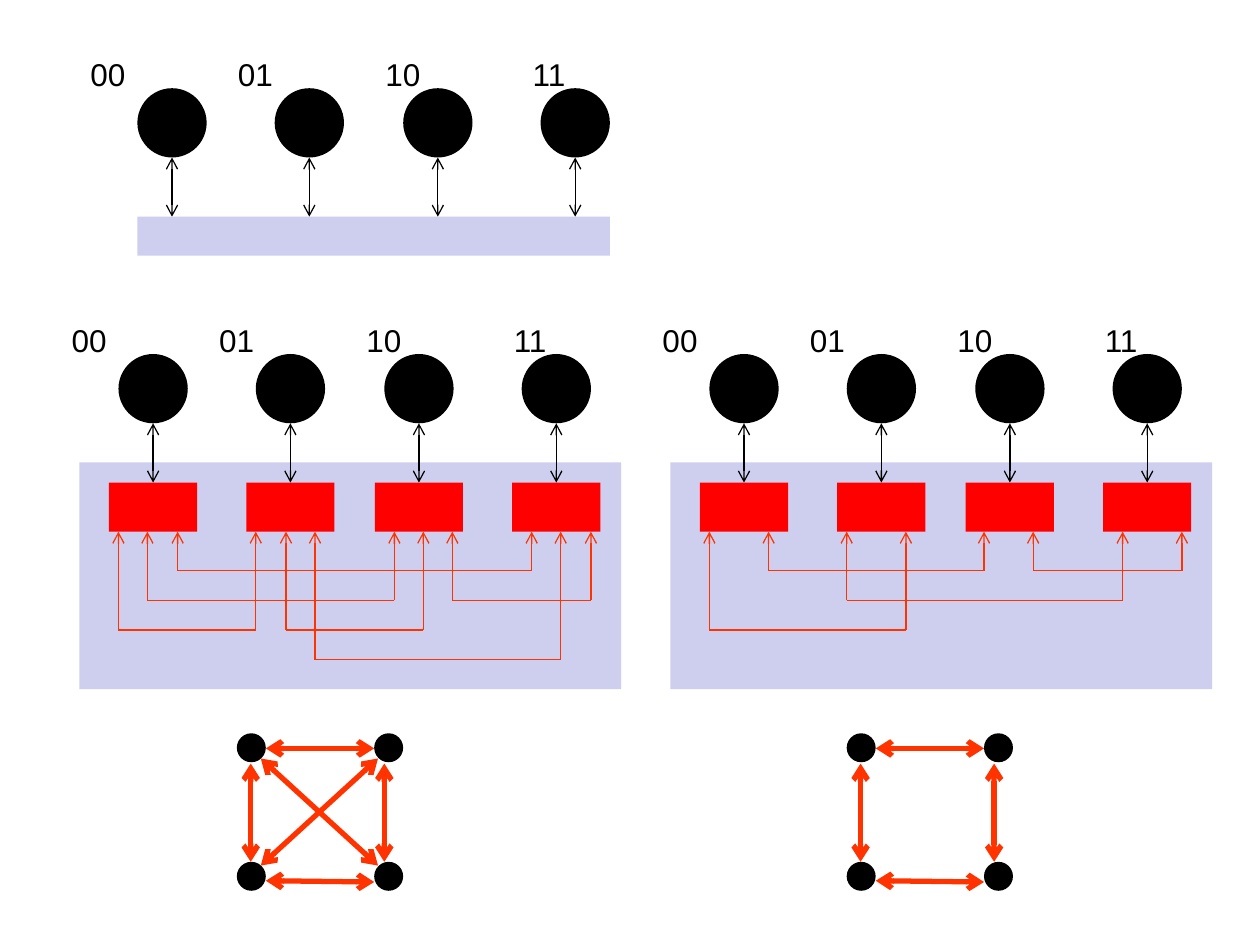
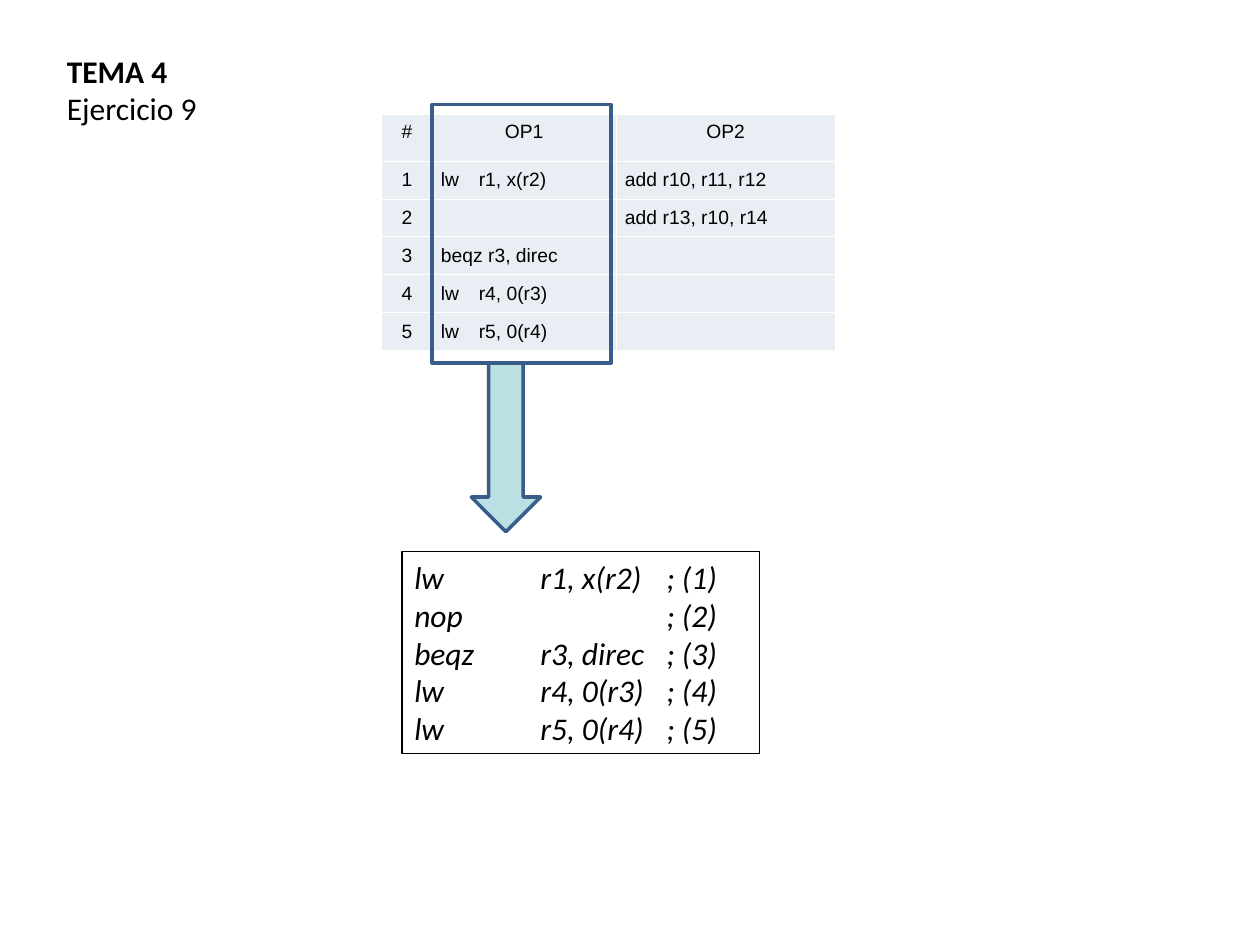
"""Build two slides: interconnection networks of four nodes and a two-slot instruction schedule."""
from dataclasses import dataclass

from lxml.etree import SubElement
from pptx import Presentation
from pptx.dml.color import RGBColor
from pptx.enum.shapes import MSO_CONNECTOR, MSO_SHAPE
from pptx.enum.text import MSO_ANCHOR, MSO_AUTO_SIZE, PP_ALIGN
from pptx.oxml.ns import qn
from pptx.util import Inches, Pt


@dataclass(frozen=True)
class Theme:
    ink: str = "000000"
    network: str = "CECEEF"
    router: str = "FF0000"
    link: str = "FF3300"
    frame: str = "385D8A"
    arrow: str = "BBE0E3"
    cell: str = "E9EDF4"
    border: str = "FFFFFF"
    label_font: str = "Arial"
    text_font: str = "Calibri"
    text_size: float = 18
    cell_size: float = 11
    thin: float = 0.75
    medium: float = 2
    thick: float = 3
    cell_line: float = 0.45


THEME = Theme()

NODE_LABELS = ["00", "01", "10", "11"]
NODE_OFFSETS = [0, 1.09, 2.11, 3.2]
NODE_SIZE = 0.55
LABEL_STEP = 1.17
STEM = 0.47
ROUTER_WIDTH, ROUTER_HEIGHT = 0.7, 0.39
FIRST_DEPTH, DEPTH_STEP = 0.31, 0.235

BUS = {"left": 1.09, "top": 0.7, "width": 3.75, "height": 0.31}
SIDES = [
    ((0.23, 0.12), (1.09, 0.12)),
    ((0.23, 1.17), (1.09, 1.18)),
    ((0.11, 0.24), (0.11, 1.02)),
    ((1.17, 0.24), (1.17, 1.02)),
]
DIAGONALS = [((0.19, 0.2), (1.12, 1.05)), ((0.19, 1.05), (1.12, 0.2))]
NETWORKS_TOP = 2.81
GRAPHS_TOP = 5.82
GRAPH_NODE = 0.23
GRAPH_STEPS = 1.09, 1.02
NETWORKS = [
    {
        "left": 0.94,
        "wires": [(0, 1.09, 2), (0.23, 2.19, 1), (0.47, 3.28, 0),
                  (1.33, 2.42, 2), (1.56, 3.51, 3), (2.65, 3.75, 1)],
        "graph_left": 1.88,
        "edges": SIDES + DIAGONALS,
    },
    {
        "left": 5.63,
        "wires": [(0, 1.56, 2), (1.09, 3.28, 1), (0.47, 2.18, 0), (2.57, 3.75, 0)],
        "graph_left": 6.72,
        "edges": SIDES,
    },
]

TITLE = ["TEMA 4", "Ejercicio 9"]
SCHEDULE = [
    ("#", "OP1", "OP2"),
    ("1", "lw\tr1, x(r2)", "add\tr10, r11, r12"),
    ("2", "", "add\tr13, r10, r14"),
    ("3", "beqz r3, direc", ""),
    ("4", "lw\tr4, 0(r3)", ""),
    ("5", "lw\tr5, 0(r4)", ""),
]
COLUMN_WIDTHS = [0.4, 1.46, 1.74]
HEADER_HEIGHT, ROW_HEIGHT = 0.37, 0.3
CODE = [
    "lw\tr1, x(r2)\t; (1)",
    "nop\t\t; (2)",
    "beqz\tr3, direc\t; (3)",
    "lw\tr4, 0(r3)\t; (4)",
    "lw\tr5, 0(r4)\t; (5)",
]


def rgb(color):
    return RGBColor.from_string(color)


def add_block(slide, kind, left, top, width, height, fill=None, line=None, weight=0):
    block = slide.shapes.add_shape(kind, *map(Inches, (left, top, width, height)))
    block.shadow.inherit = False
    if fill:
        block.fill.solid()
        block.fill.fore_color.rgb = rgb(fill)
    else:
        block.fill.background()
    if line:
        block.line.color.rgb = rgb(line)
        block.line.width = Pt(weight)
    else:
        block.line.fill.background()
    return block


def add_line(slide, start, end, color, weight, heads=()):
    line = slide.shapes.add_connector(MSO_CONNECTOR.STRAIGHT, *map(Inches, (*start, *end)))
    line.line.color.rgb = rgb(color)
    line.line.width = Pt(weight)
    outline = line.line._get_or_add_ln()
    for head in heads:
        SubElement(outline, qn(f"a:{head}"), type="arrow")
    SubElement(line._element.spPr, qn("a:effectLst"))
    return line


def add_tabs(paragraph, stops):
    tabs = SubElement(paragraph._p.get_or_add_pPr(), qn("a:tabLst"))
    for stop in stops:
        SubElement(tabs, qn("a:tab"), pos=str(Inches(stop)), algn="l")


def format_runs(paragraph, font, size, bold=False, italic=False):
    for run in paragraph.runs:
        run.font.name = font
        run.font.size = Pt(size)
        run.font.bold = bold
        run.font.italic = italic
        run.font.color.rgb = rgb(THEME.ink)


def add_nodes(slide, left, top):
    """Draw the labelled processors and return their double-headed stems."""
    stems = []
    for index, (name, offset) in enumerate(zip(NODE_LABELS, NODE_OFFSETS)):
        add_block(slide, MSO_SHAPE.OVAL, left + offset, top, NODE_SIZE, NODE_SIZE, THEME.ink)
        center, bottom = left + offset + NODE_SIZE / 2, top + NODE_SIZE
        stems.append(add_line(slide, (center, bottom), (center, bottom + STEM),
                              THEME.ink, THEME.thin, ("headEnd", "tailEnd")))
        label = slide.shapes.add_textbox(Inches(left - 0.47 + index * LABEL_STEP),
                                         Inches(top - 0.31), Inches(0.63), Inches(0.4))
        label.text_frame.word_wrap = True
        label.text_frame.text = name
        format_runs(label.text_frame.paragraphs[0], THEME.label_font, THEME.text_size)
    return stems


def add_network(slide, network):
    left = network["left"]
    router_top = NETWORKS_TOP + NODE_SIZE + STEM
    add_block(slide, MSO_SHAPE.RECTANGLE, left - 0.31, router_top - 0.16, 4.3, 1.8, THEME.network)
    stems = add_nodes(slide, left, NETWORKS_TOP)
    for stem, offset in zip(stems, NODE_OFFSETS):
        router_left = left + offset + (NODE_SIZE - ROUTER_WIDTH) / 2
        router = add_block(slide, MSO_SHAPE.RECTANGLE, router_left, router_top,
                           ROUTER_WIDTH, ROUTER_HEIGHT, THEME.router)
        stem.end_connect(router, 0)

    port = router_top + ROUTER_HEIGHT
    for first, last, level in network["wires"]:
        depth = port + FIRST_DEPTH + level * DEPTH_STEP
        for x in (left + first, left + last):
            add_line(slide, (x, depth), (x, port), THEME.link, THEME.thin, ("tailEnd",))
        add_line(slide, (left + first, depth), (left + last, depth), THEME.link, THEME.thin)


def add_graph(slide, left, edges):
    step_x, step_y = GRAPH_STEPS
    for x in (left, left + step_x):
        for y in (GRAPHS_TOP, GRAPHS_TOP + step_y):
            add_block(slide, MSO_SHAPE.OVAL, x, y, GRAPH_NODE, GRAPH_NODE, THEME.ink)
    for edge in edges:
        start, end = [(left + x, GRAPHS_TOP + y) for x, y in edge]
        add_line(slide, start, end, THEME.link, THEME.thick, ("headEnd", "tailEnd"))


def build_networks(deck):
    slide = deck.slides.add_slide(deck.slide_layouts[6])
    add_nodes(slide, BUS["left"], BUS["top"])
    add_block(slide, MSO_SHAPE.RECTANGLE, BUS["left"], BUS["top"] + NODE_SIZE + STEM,
              BUS["width"], BUS["height"], THEME.network)
    for network in NETWORKS:
        add_network(slide, network)
        add_graph(slide, network["graph_left"], network["edges"])


def format_cell(cell, text, is_header, is_centered):
    cell.text_frame.text = text
    cell.margin_left = cell.margin_right = Inches(0.07)
    cell.vertical_anchor = MSO_ANCHOR.TOP if is_header else MSO_ANCHOR.MIDDLE
    paragraph = cell.text_frame.paragraphs[0]
    if "\t" in text:
        add_tabs(paragraph, [0.3])
    paragraph.alignment = PP_ALIGN.CENTER if is_centered else PP_ALIGN.LEFT
    format_runs(paragraph, THEME.label_font, THEME.cell_size)
    if not text:
        SubElement(paragraph._p, qn("a:endParaRPr"), sz=str(Pt(THEME.cell_size).centipoints))
    properties = cell._tc.get_or_add_tcPr()
    for side in ("lnL", "lnR", "lnT", "lnB"):
        border = SubElement(properties, qn(f"a:{side}"), w=str(Pt(THEME.cell_line)))
        SubElement(SubElement(border, qn("a:solidFill")), qn("a:srgbClr"), val=THEME.border)
    cell.fill.solid()
    cell.fill.fore_color.rgb = rgb(THEME.cell)


def add_schedule(slide):
    row_heights = [HEADER_HEIGHT] + [ROW_HEIGHT] * (len(SCHEDULE) - 1)
    schedule = slide.shapes.add_table(
        len(SCHEDULE), len(COLUMN_WIDTHS), Inches(3.03), Inches(0.91),
        Inches(sum(COLUMN_WIDTHS)), Inches(sum(row_heights))).table
    schedule.first_row = schedule.horz_banding = False
    for column, width in zip(schedule.columns, COLUMN_WIDTHS):
        column.width = Inches(width)
    for row_index, (row, height) in enumerate(zip(schedule.rows, row_heights)):
        row.height = Inches(height)
        for column_index, text in enumerate(SCHEDULE[row_index]):
            is_header = row_index == 0
            format_cell(row.cells[column_index], text, is_header, is_header or column_index == 0)


def add_title(slide):
    title = slide.shapes.title
    title.left, title.top, title.width, title.height = map(Inches, (0.43, 0.36, 1.65, 0.7))
    frame = title.text_frame
    frame.text = "\n".join(TITLE)
    frame.auto_size = MSO_AUTO_SIZE.NONE
    frame.vertical_anchor = MSO_ANCHOR.TOP
    for index, paragraph in enumerate(frame.paragraphs):
        paragraph.alignment = PP_ALIGN.LEFT
        format_runs(paragraph, THEME.text_font, THEME.text_size, bold=index == 0)


def add_code(slide):
    code = add_block(slide, MSO_SHAPE.RECTANGLE, 3.19, 4.38, 2.84, 1.6,
                     line=THEME.ink, weight=THEME.thin)
    code.text_frame.text = "\v".join(CODE)
    code.text_frame.vertical_anchor = MSO_ANCHOR.TOP
    listing = code.text_frame.paragraphs[0]
    add_tabs(listing, [1, 2])
    listing.alignment = PP_ALIGN.LEFT
    format_runs(listing, THEME.text_font, THEME.text_size, italic=True)


def build_schedule(deck):
    slide = deck.slides.add_slide(deck.slide_layouts[5])
    add_title(slide)
    add_schedule(slide)
    add_code(slide)
    add_block(slide, MSO_SHAPE.DOWN_ARROW, 3.74, 2.88, 0.55, 1.34,
              THEME.arrow, THEME.frame, THEME.medium)
    add_block(slide, MSO_SHAPE.RECTANGLE, 3.43, 0.83, 1.42, 2.05,
              line=THEME.frame, weight=THEME.medium)


def main():
    deck = Presentation()
    deck.slide_width, deck.slide_height = Inches(10), Inches(7.5)
    build_networks(deck)
    build_schedule(deck)
    deck.save("out.pptx")


if __name__ == "__main__":
    main()
